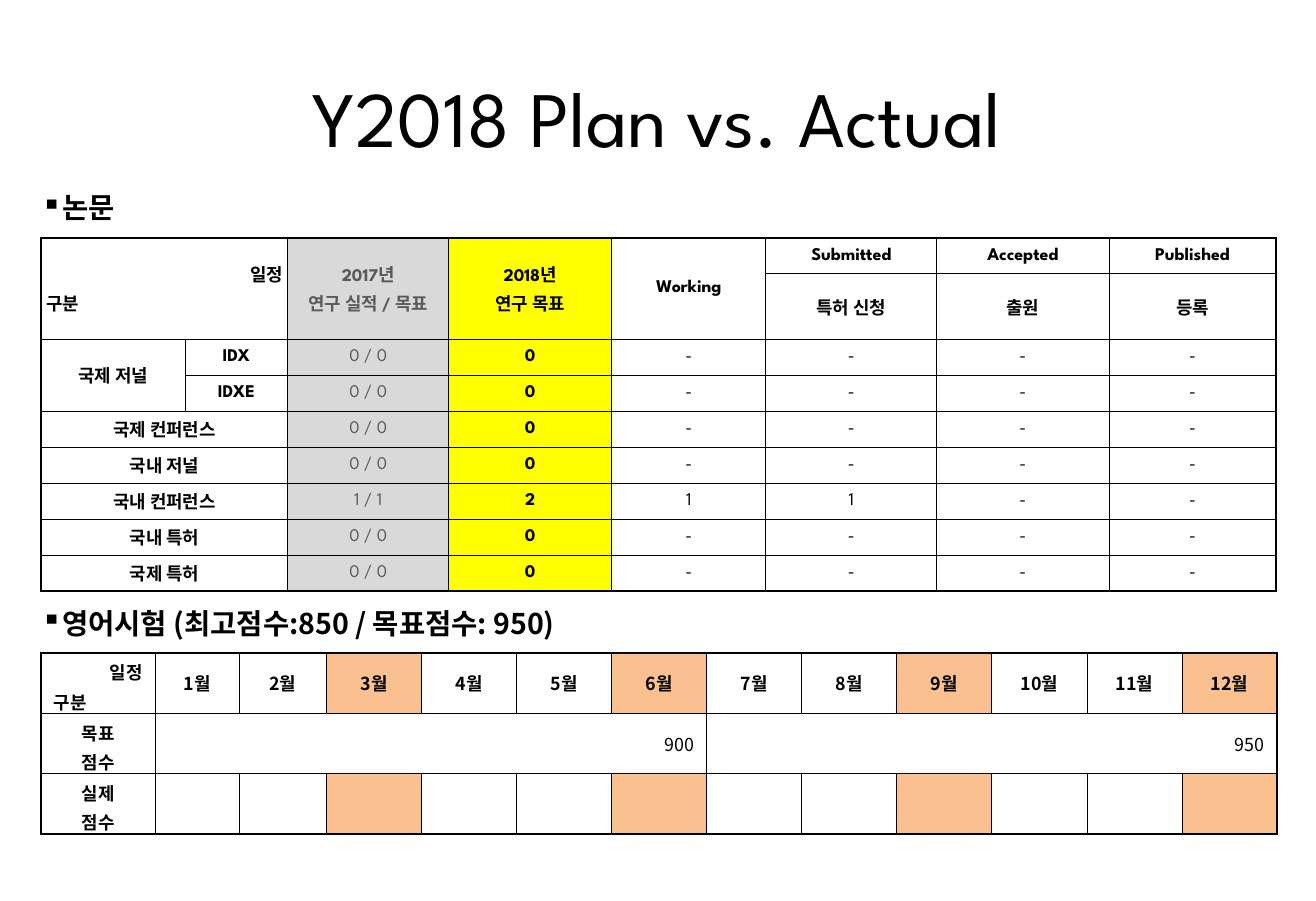
from lxml.etree import SubElement
from pptx import Presentation
from pptx.dml.color import RGBColor
from pptx.enum.text import MSO_ANCHOR, PP_ALIGN
from pptx.oxml.ns import qn
from pptx.util import Inches, Pt

COLORS = {
    "black": "000000",
    "past": "595959",
    "past_fill": "D9D9D9",
    "goal_fill": "FFFF00",
    "white": "FFFFFF",
    "quarter_end": "FAC090",
}
LATIN = "League Spartan"
KOREAN = "Noto Sans CJK KR"
LEFT, WIDTH = 0.32, 9.61
THICK, THIN = 1, 0.5
CENTER, RIGHT, START = PP_ALIGN.CENTER, PP_ALIGN.RIGHT, PP_ALIGN.LEFT

PAPER_COLUMNS = [1.12, 0.8, 1.25, 1.27, 1.2, 1.33, 1.34, 1.3]
PAPER_ROW_HEIGHT = 0.28
STAGES = [("Submitted", "특허 신청"), ("Accepted", "출원"), ("Published", "등록")]
# Category, result / goal of 2017, goal of 2018, working, submitted, accepted, published
PAPERS = [
    ("IDX", "0 / 0", "0", "-", "-", "-", "-"),
    ("IDXE", "0 / 0", "0", "-", "-", "-", "-"),
    ("국제 컨퍼런스", "0 / 0", "0", "-", "-", "-", "-"),
    ("국내 저널", "0 / 0", "0", "-", "-", "-", "-"),
    ("국내 컨퍼런스", "1 / 1", "2", "1", "1", "-", "-"),
    ("국내 특허", "0 / 0", "0", "-", "-", "-", "-"),
    ("국제 특허", "0 / 0", "0", "-", "-", "-", "-"),
]
SCORE_COLUMNS = [0.89, 0.65, 0.68] + [0.74] * 10
SCORE_ROW_HEIGHT = 0.47


def write_text(frame, text, font=LATIN, size=10, color="black", bold=True,
               aligns=(CENTER,), bullet=None):
    """Write one paragraph per line; the last alignment serves all further lines."""
    frame.vertical_anchor = MSO_ANCHOR.MIDDLE
    for index, line in enumerate(text.split("\n")):
        paragraph = frame.add_paragraph() if index else frame.paragraphs[0]
        paragraph.alignment = aligns[min(index, len(aligns) - 1)]
        if index:
            paragraph.space_before = Pt(size * 0.2)
        if bullet:
            properties = paragraph._p.get_or_add_pPr()
            properties.set("marL", str(Inches(0.16)))
            properties.set("indent", str(Inches(-0.16)))
            SubElement(properties, qn("a:buChar"), char=bullet)
        run = paragraph.add_run()
        run.text = line
        run.font.name = font
        run.font.size = Pt(size)
        run.font.bold = bold
        run.font.color.rgb = RGBColor.from_string(COLORS[color])
        SubElement(run._r.get_or_add_rPr(), qn("a:ea"), typeface=KOREAN)


def add_heading(slide, top, text):
    frame = slide.shapes.add_textbox(
        Inches(LEFT), Inches(top), Inches(WIDTH), Inches(0.31)).text_frame
    frame.word_wrap = True
    frame.margin_left = frame.margin_right = frame.margin_top = frame.margin_bottom = 0
    write_text(frame, text, font=KOREAN, size=16, aligns=(START,), bullet="▪")


def add_grid(slide, top, columns, row_count, row_height):
    table = slide.shapes.add_table(
        row_count, len(columns), Inches(LEFT), Inches(top),
        Inches(WIDTH), Inches(row_height * row_count)).table
    table.first_row = table.horz_banding = False
    for column, width in zip(table.columns, columns):
        column.width = Inches(width)
    for row in table.rows:
        row.height = Inches(row_height)
    return table


def merge(table, row, column, rows=1, columns=1):
    table.cell(row, column).merge(table.cell(row + rows - 1, column + columns - 1))


def finish_cells(table, margins, fill_of):
    """Set margins, a thick outer and thin inner border, and the fill of every cell."""
    last_row, last_column = len(table.rows), len(table.columns)
    for row in range(last_row):
        for column in range(last_column):
            cell = table.cell(row, column)
            cell.margin_left = cell.margin_right = Inches(margins[0])
            cell.margin_top = cell.margin_bottom = Inches(margins[1])
            cell.vertical_anchor = MSO_ANCHOR.MIDDLE
            outer_edges = {
                "a:lnL": column == 0,
                "a:lnR": column + cell.span_width == last_column,
                "a:lnT": row == 0,
                "a:lnB": row + cell.span_height == last_row,
            }
            for edge, is_outer in outer_edges.items():
                line = SubElement(cell._tc.get_or_add_tcPr(), qn(edge),
                                  w=str(Pt(THICK if is_outer else THIN)))
                SubElement(SubElement(line, qn("a:solidFill")), qn("a:srgbClr"),
                           val=COLORS["black"])
            fill = fill_of(row, column)
            if fill:
                cell.fill.solid()
                cell.fill.fore_color.rgb = RGBColor.from_string(COLORS[fill])
            else:
                cell.fill.background()


def add_paper_table(slide):
    table = add_grid(slide, 1.85, PAPER_COLUMNS, len(PAPERS) + 2, PAPER_ROW_HEIGHT)

    def put(row, column, text, **text_format):
        write_text(table.cell(row, column).text_frame, text, **text_format)

    # Header
    merge(table, 0, 0, rows=2, columns=2)
    for column in (2, 3, 4):
        merge(table, 0, column, rows=2)
    put(0, 0, "일정\n구분", aligns=(RIGHT, START))
    put(0, 2, "2017년\n연구 실적 / 목표", color="past")
    put(0, 3, "2018년\n연구 목표")
    put(0, 4, "Working")
    for column, (paper_stage, patent_stage) in enumerate(STAGES, start=5):
        put(0, column, paper_stage)
        put(1, column, patent_stage)

    # Categories and counts
    merge(table, 2, 0, rows=2)
    put(2, 0, "국제 저널")
    for row, (category, *counts) in enumerate(PAPERS, start=2):
        is_journal_index = category.startswith("IDX")
        if not is_journal_index:
            merge(table, row, 0, columns=2)
        put(row, 1 if is_journal_index else 0, category)
        for column, count in enumerate(counts, start=2):
            put(row, column, count, bold=column == 3,
                color="past" if column == 2 else "black")

    year_fills = {2: "past_fill", 3: "goal_fill"}
    finish_cells(table, (0.04, 0.04), lambda row, column: year_fills.get(column))


def add_score_table(slide):
    table = add_grid(slide, 5.08, SCORE_COLUMNS, 3, SCORE_ROW_HEIGHT)

    def put(row, column, text, **text_format):
        write_text(table.cell(row, column).text_frame, text, font=KOREAN, **text_format)

    put(0, 0, "일정\n구분", aligns=(RIGHT, START))
    for month in range(1, 13):
        put(0, month, f"{month}월")
    put(1, 0, "목표\n점수")
    put(2, 0, "실제\n점수")
    for first_month, target in ((1, "900"), (7, "950")):
        merge(table, 1, first_month, columns=6)
        put(1, first_month, target, bold=False, aligns=(RIGHT,))

    def month_fill(row, month):
        if month == 0:
            return None
        return "quarter_end" if row != 1 and month % 3 == 0 else "white"

    finish_cells(table, (0.1, 0.05), month_fill)


def main():
    presentation = Presentation()
    presentation.slide_width = Inches(10.24)
    presentation.slide_height = Inches(7.01)
    slide = presentation.slides.add_slide(presentation.slide_layouts[5])

    # Title
    title = slide.shapes.title
    title.left, title.top = Inches(0.39), Inches(0.35)
    title.width, title.height = Inches(9.45), Inches(1.1)
    write_text(title.text_frame, "Y2018 Plan vs. Actual", size=44, bold=False)

    # Papers and patents
    add_paper_table(slide)
    add_heading(slide, 1.46, "논문")

    # Language test scores
    add_heading(slide, 4.69, "영어시험 (최고점수:850 / 목표점수: 950)")
    add_score_table(slide)

    presentation.save("out.pptx")


if __name__ == "__main__":
    main()
